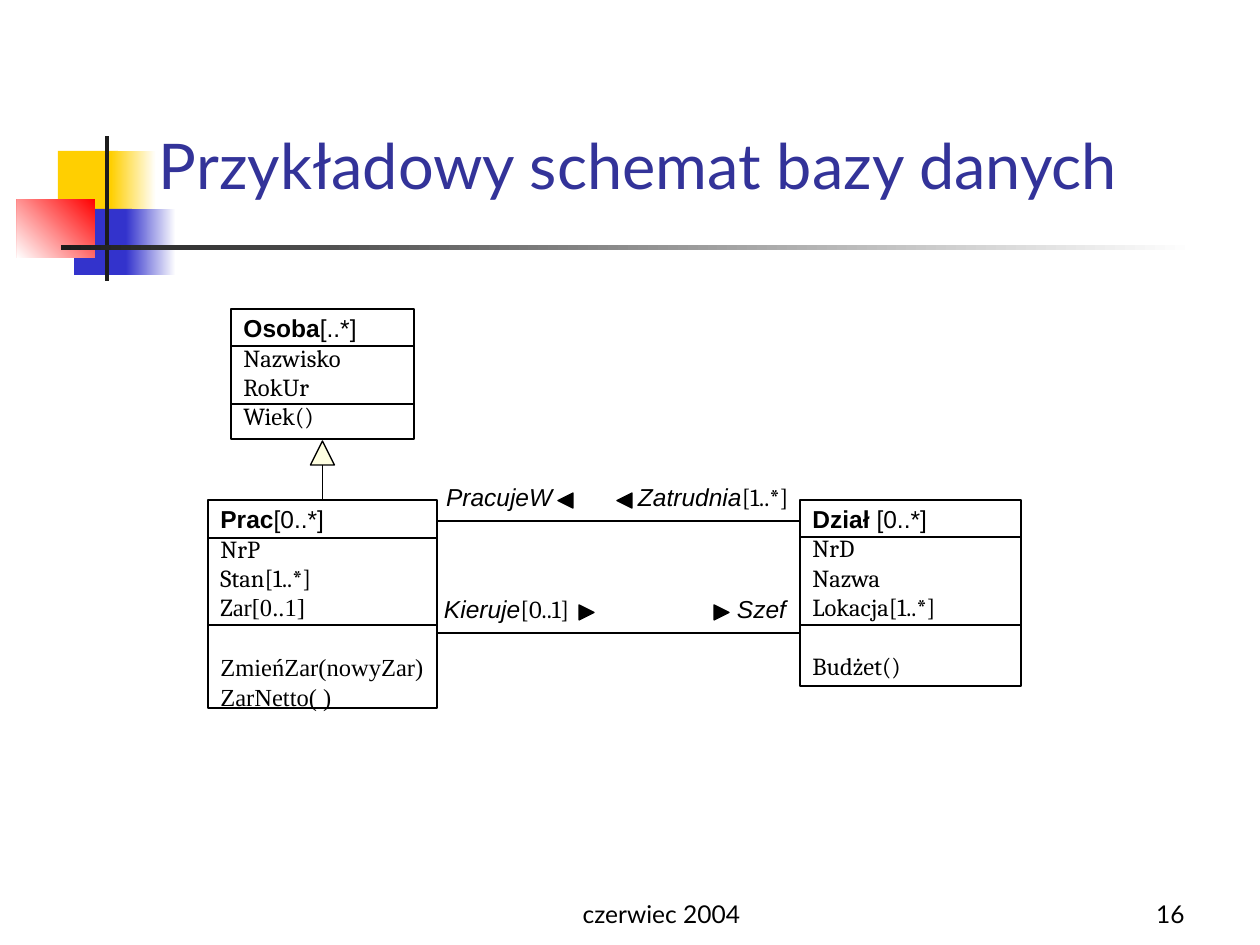
from lxml import etree
from pptx import Presentation
from pptx.dml.color import RGBColor
from pptx.enum.shapes import MSO_CONNECTOR, MSO_SHAPE
from pptx.enum.text import MSO_ANCHOR, PP_ALIGN
from pptx.oxml.ns import qn
from pptx.util import Emu, Pt

RECTANGLE, TRIANGLE = MSO_SHAPE.RECTANGLE, MSO_SHAPE.ISOSCELES_TRIANGLE
STRAIGHT = MSO_CONNECTOR.STRAIGHT
TOP, MIDDLE, BOTTOM = MSO_ANCHOR.TOP, MSO_ANCHOR.MIDDLE, MSO_ANCHOR.BOTTOM
LEFT, CENTER, RIGHT = PP_ALIGN.LEFT, PP_ALIGN.CENTER, PP_ALIGN.RIGHT
PX = 914400 / 126
BLACK, WHITE = "000000", "FFFFFF"
HEAD, BODY, METHOD, THEME = "Arial", "Cambria", "Times New Roman", "Lato"

TITLE = "Przykładowy schemat bazy danych"
DECORATION = [
    ((58, 151, 60, 66), "FFCF01", None),
    ((111, 151, 45, 66), "FFCF01", 0),
    ((74, 209, 58, 66), "3333CC", None),
    ((126, 209, 50, 66), "3333CC", 0),
    ((17, 199, 78, 59), "FF0000", 225),
    ((105, 136, 4, 145), "1C1C1C", None),
    ((61, 245, 1134, 5), "1C1C1C", 0),
]
CLASSES = {
    "Osoba": dict(
        box=(231, 309, 183, 130), dividers=(346, 404), count="[..*]",
        fields=[[("Nazwisko", BODY)], [("RokUr", BODY)]],
        methods=[("Wiek()", BODY)], gap=0, spacing=1.0),
    "Prac": dict(
        box=(208, 500, 229, 208), dividers=(538, 625), count="[0..*]",
        fields=[[("NrP", BODY)], [("Stan[1..*]", BODY)],
                [("Z", BODY), ("ar[0..1]", METHOD)]],
        methods=[("ZmieńZar(nowyZar)", METHOD), ("ZarNetto( )", METHOD)],
        gap=17, spacing=1.02),
    "Dział": dict(
        box=(800, 500, 221, 186), dividers=(537, 625), count=" [0..*]",
        fields=[[("NrD", BODY)], [("Nazwa", BODY)], [("Lokacja[1..*]", BODY)]],
        methods=[("Budżet()", BODY)], gap=17, spacing=1.0),
}
ASSOCIATION_ROWS = [521, 633]
ROLES = [
    ("PracujeW", "", (446, 485, 107, 28)),
    ("Zatrudnia", "[1..*]", (638, 485, 158, 28)),
    ("Kieruje", "[0..1]", (444, 597, 130, 28)),
    ("Szef", "", (737, 597, 52, 28)),
]
ARROWS = [(558, 493, 270), (617, 493, 270), (579, 605, 90), (714, 605, 90)]
FOOTER = [
    ("czerwiec 2004", (462, 872, 399, 63), CENTER),
    ("16", (935, 872, 262, 63), RIGHT),
]


def px(*values):
    return [Emu(round(value * PX)) for value in values]


def color(value):
    return RGBColor.from_string(value)


def style(font, name, size=14, ink=BLACK):
    font.name, font.size, font.color.rgb = name, Pt(size), color(ink)


def add_runs(paragraph, runs):
    for text, name, bold, italic in runs:
        run = paragraph.add_run()
        run.text = text
        style(run.font, name)
        run.font.bold, run.font.italic = bold, italic


def add_figure(slide, kind, box, fill=None, outline=True):
    shape = slide.shapes.add_shape(kind, *px(*box))
    shape.shadow.inherit = False
    if fill:
        shape.fill.solid()
        shape.fill.fore_color.rgb = color(fill)
    else:
        shape.fill.background()
    if outline:
        shape.line.color.rgb = color(BLACK)
        shape.line.width = Pt(0.75)
    else:
        shape.line.fill.background()
    return shape


def add_line(slide, start, end):
    line = slide.shapes.add_connector(STRAIGHT, *px(*start, *end))
    line.line.color.rgb = color(BLACK)
    line.line.width = Pt(0.75)
    etree.SubElement(line._element.spPr, qn("a:effectLst"))
    return line


def set_insets(frame, horizontal, vertical):
    frame.margin_left, frame.margin_right = px(horizontal, horizontal)
    frame.margin_top, frame.margin_bottom = px(vertical, vertical)


def add_decoration(slide):
    for box, fill, angle in DECORATION:
        shape = add_figure(slide, RECTANGLE, box, fill, outline=False)
        if angle is not None:
            shape.fill.gradient()
            shape.fill.gradient_angle = angle
            for stop, ink in zip(shape.fill.gradient_stops, (fill, WHITE)):
                stop.color.rgb = color(ink)
                stop.position = float(ink == WHITE)


def add_class(slide, name, data):
    left, _, width, _ = data["box"]
    shape = add_figure(slide, RECTANGLE, data["box"])
    frame = shape.text_frame
    frame.word_wrap, frame.vertical_anchor = True, TOP
    set_insets(frame, 12.6, 6.3)
    heading = frame.paragraphs[0]
    heading.line_spacing = 0.93
    add_runs(heading, [(name, HEAD, True, False), (data["count"], HEAD, False, False)])
    for field in data["fields"]:
        add_runs(frame.add_paragraph(), [(text, font, False, False) for text, font in field])
    for index, (text, font) in enumerate(data["methods"]):
        paragraph = frame.add_paragraph()
        paragraph.line_spacing = data["spacing"]
        paragraph.space_before = Pt(0 if index else data["gap"])
        add_runs(paragraph, [(text, font, False, False)])
    for paragraph in frame.paragraphs:
        paragraph.alignment = LEFT
    for y in data["dividers"]:
        add_line(slide, (left, y), (left + width, y))
    return shape


def add_role(slide, name, count, box):
    frame = slide.shapes.add_textbox(*px(*box)).text_frame
    frame.word_wrap = False
    set_insets(frame, 0, 0)
    paragraph = frame.paragraphs[0]
    paragraph.line_spacing = 0.93
    add_runs(paragraph, [(name, HEAD, False, True)])
    if count:
        add_runs(paragraph, [(count, BODY, False, False)])


def add_footer(slide, text, box, alignment):
    frame = slide.shapes.add_textbox(*px(*box)).text_frame
    frame.word_wrap, frame.vertical_anchor = True, BOTTOM
    set_insets(frame, 12.6, 6.3)
    paragraph = frame.paragraphs[0]
    paragraph.text, paragraph.alignment = text, alignment
    style(paragraph.font, THEME)


def main():
    presentation = Presentation()
    presentation.slide_width, presentation.slide_height = px(1260, 945)
    slide = presentation.slides.add_slide(presentation.slide_layouts[5])
    add_decoration(slide)

    title = slide.shapes.title
    title.left, title.top, title.width, title.height = px(159, 86, 1075, 157)
    frame = title.text_frame
    frame.text, frame.vertical_anchor = TITLE, MIDDLE
    set_insets(frame, 0, 0)
    frame.paragraphs[0].alignment = LEFT
    style(frame.paragraphs[0].font, THEME, 36, "333399")

    shapes = {name: add_class(slide, name, data) for name, data in CLASSES.items()}
    left, top, width, _ = CLASSES["Prac"]["box"]
    center = left + width / 2
    add_figure(slide, TRIANGLE, (center - 12, 441, 24, 24), "FFFFE1")
    add_line(slide, (center, 465), (center, top)).end_connect(shapes["Prac"], 0)
    for y in ASSOCIATION_ROWS:
        add_line(slide, (left + width, y), (CLASSES["Dział"]["box"][0], y))
    for x, y, rotation in ARROWS:
        add_figure(slide, TRIANGLE, (x, y, 15, 15), BLACK).rotation = rotation
    for role in ROLES:
        add_role(slide, *role)
    for item in FOOTER:
        add_footer(slide, *item)
    presentation.save("out.pptx")


if __name__ == "__main__":
    main()
